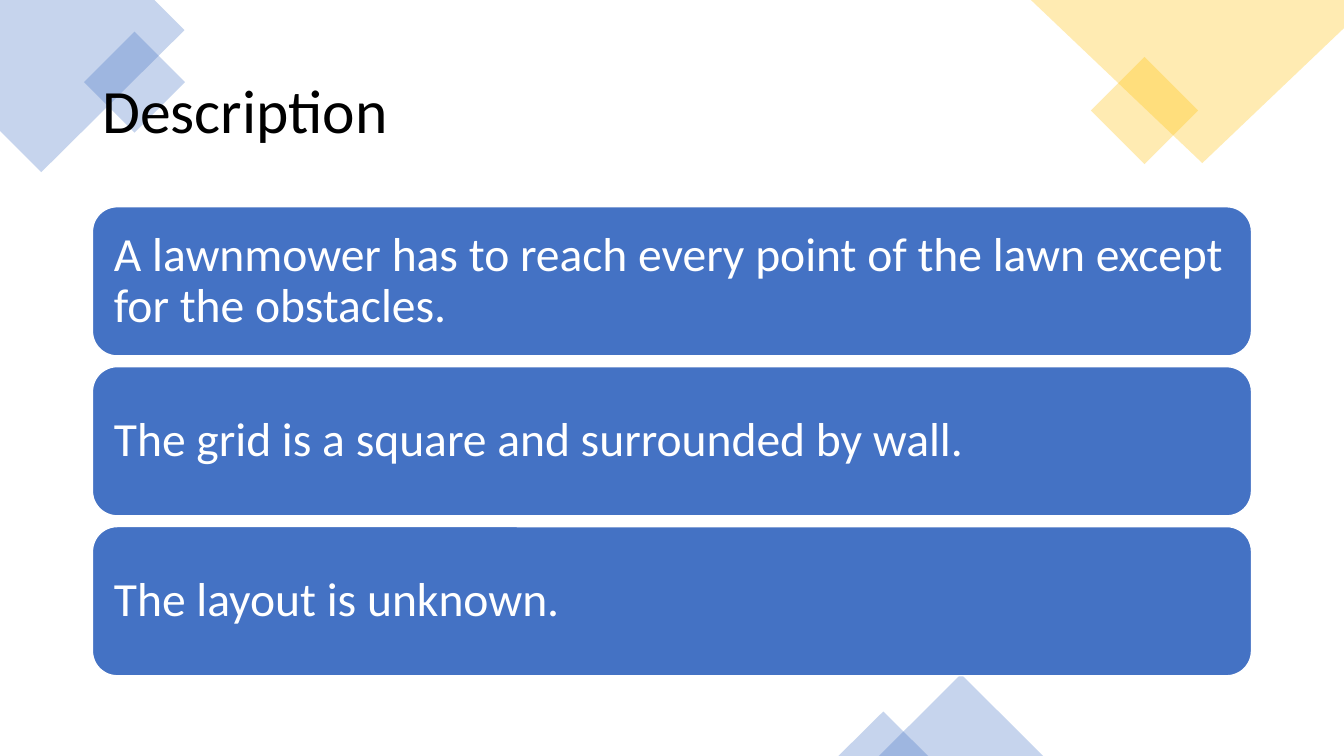
from lxml.etree import SubElement
from pptx import Presentation
from pptx.dml.color import RGBColor
from pptx.enum.shapes import MSO_SHAPE as Preset
from pptx.enum.text import MSO_ANCHOR as Anchor, PP_ALIGN as Align
from pptx.oxml.ns import qn
from pptx.util import Cm, Pt

BLUE = RGBColor(0x44, 0x72, 0xC4)
GOLD = RGBColor(0xFF, 0xC0, 0x00)
BLACK = RGBColor(0x00, 0x00, 0x00)
WHITE = RGBColor(0xFF, 0xFF, 0xFF)

FONT = "Calibri"
MARGIN_LEFT = 2.33
CONTENT_WIDTH = 29.21
CARD_TOP = 5.21
CARD_HEIGHT = 3.76
CARD_PITCH = 4.03

STATEMENTS = [
    "A lawnmower has to reach every point of the lawn except for the obstacles.",
    "The grid is a square and surrounded by wall.",
    "The layout is unknown.",
]


def style_decoration(shape, color):
    shape.shadow.inherit = False
    shape.fill.solid()
    shape.fill.fore_color.rgb = color
    shape.line.fill.background()
    color_element = shape._element.spPr.find(qn("a:solidFill"))[0]
    SubElement(color_element, qn("a:alpha"), val="30000")


def add_corner(slide, points, color):
    start, *others = [(Cm(x), Cm(y)) for x, y in points]
    builder = slide.shapes.build_freeform(*start)
    builder.add_line_segments(others, close=True)
    style_decoration(builder.convert_to_shape(), color)


def add_decoration(slide, preset, left, top, width, height, color, rotation=0):
    shape = slide.shapes.add_shape(preset, Cm(left), Cm(top), Cm(width), Cm(height))
    shape.rotation = rotation
    style_decoration(shape, color)


def write_text(shape, text, size, color):
    text_frame = shape.text_frame
    text_frame.text = text
    text_frame.word_wrap = True
    text_frame.vertical_anchor = Anchor.MIDDLE
    paragraph = text_frame.paragraphs[0]
    paragraph.alignment = Align.LEFT
    paragraph.line_spacing = 0.9
    font = paragraph.runs[0].font
    font.name = FONT
    font.size = Pt(size)
    font.color.rgb = color


def add_title(slide, text):
    title = slide.shapes.add_textbox(
        Cm(MARGIN_LEFT), Cm(1.01), Cm(CONTENT_WIDTH), Cm(3.68))
    write_text(title, text, 44, BLACK)


def add_card(slide, top, text):
    card = slide.shapes.add_shape(
        Preset.ROUNDED_RECTANGLE,
        Cm(MARGIN_LEFT), Cm(top), Cm(CONTENT_WIDTH), Cm(CARD_HEIGHT))
    card.shadow.inherit = False
    card.fill.solid()
    card.fill.fore_color.rgb = BLUE
    card.line.color.rgb = WHITE
    card.line.width = Pt(1)
    text_frame = card.text_frame
    text_frame.margin_left = text_frame.margin_right = Cm(0.36)
    text_frame.margin_top = text_frame.margin_bottom = Cm(0.36)
    write_text(card, text, 34, WHITE)


def main():
    presentation = Presentation()
    presentation.slide_width = Cm(33.87)
    presentation.slide_height = Cm(19.05)
    slide = presentation.slides.add_slide(presentation.slide_layouts[6])

    add_corner(slide, [(0, 0), (3.89, 0), (4.65, 0.76), (1.04, 4.34), (0, 3.3)], BLUE)
    add_decoration(slide, Preset.RECTANGLE, 2.49, 1.17, 1.8, 1.8, BLUE, 315)
    add_decoration(slide, Preset.RECTANGLE, 27.89, 1.83, 1.91, 1.91, GOLD, 315)
    add_corner(slide, [(25.98, 0), (33.87, 0), (33.87, 0.71), (30.3, 4.11)], GOLD)
    add_decoration(slide, Preset.ISOSCELES_TRIANGLE, 22.15, 16.99, 4.14, 2.06, BLUE)
    add_decoration(slide, Preset.ISOSCELES_TRIANGLE, 21.13, 17.93, 2.26, 1.12, BLUE)

    add_title(slide, "Description")
    for index, statement in enumerate(STATEMENTS):
        add_card(slide, CARD_TOP + index * CARD_PITCH, statement)

    presentation.save("out.pptx")


if __name__ == "__main__":
    main()
